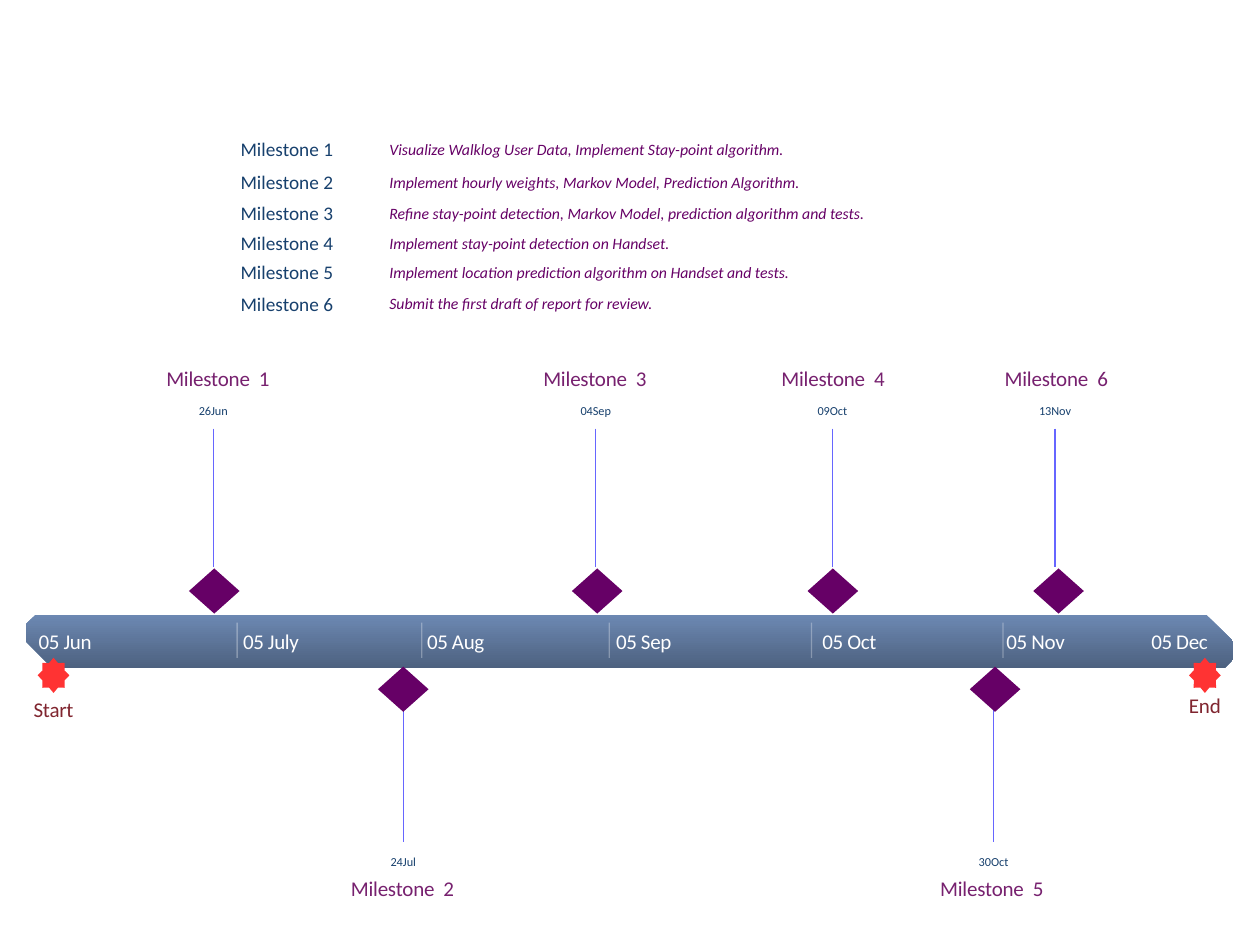
from collections import namedtuple

from lxml import etree
from pptx import Presentation
from pptx import util as u
from pptx.dml.color import RGBColor
from pptx.enum import shapes, text
from pptx.oxml import ns

COLOURS = {
    "bar_top": "6C88B2", "bar_bottom": "4D617F", "white": "FFFFFF",
    "navy": "17406D", "purple": "660066", "plum": "77216F",
    "maroon": "80252F", "red": "FF3333", "stem": "6666FF",
}
FONT = "Calibri"
Box = namedtuple("Box", "left top width height")
LEFT, CENTRE = text.PP_ALIGN.LEFT, text.PP_ALIGN.CENTER

GOALS = [
    (0.46, "Visualize Walklog User Data, Implement Stay-point algorithm."),
    (1.13, "Implement hourly weights, Markov Model, Prediction Algorithm."),
    (1.75, "Refine stay-point detection, Markov Model, prediction algorithm and tests."),
    (2.36, "Implement stay-point detection on Handset."),
    (2.95, "Implement location prediction algorithm on Handset and tests."),
    (3.58, "Submit the first draft of report for review."),
]
MONTHS = [(0.25, "05 Jun"), (4.37, "05 July"), (8.08, "05 Aug"), (11.89, "05 Sep"),
          (16.05, "05 Oct"), (19.76, "05 Nov"), (22.68, "05 Dec")]
DIVIDERS = [4.25, 7.97, 11.75, 15.83, 19.69]
MILESTONES = [
    ("26Jun", True, 3.79, 3.77, 3.87),
    ("24Jul", False, 7.6, 7.6, 7.59),
    ("04Sep", True, 11.51, 11.48, 11.47),
    ("09Oct", True, 16.26, 16.25, 16.27),
    ("30Oct", False, 19.53, 19.5, 19.47),
    ("13Nov", True, 20.81, 20.74, 20.77),
]
ENDS = [("Start", 0.55, 14.3), ("End", 23.76, 14.22)]


def colour(name):
    """Return the named colour."""
    return RGBColor.from_string(COLOURS[name])


def add_label(page, box, words, size, shade, align=LEFT, italic=False, spacing=0):
    """Add one line of text, centred vertically in its box."""
    label = page.shapes.add_textbox(*(u.Cm(value) for value in box))
    frame = label.text_frame
    frame.margin_left = frame.margin_right = frame.margin_top = frame.margin_bottom = 0
    frame.word_wrap = True
    frame.vertical_anchor = text.MSO_ANCHOR.MIDDLE
    frame.text = words
    para = frame.paragraphs[0]
    para.alignment = align
    span = para.runs[0]
    span.font.name = FONT
    span.font.size = u.Pt(size)
    span.font.italic = italic
    span.font.color.rgb = colour(shade)
    if spacing:
        span.font._element.set("spc", str(spacing))


def add_figure(page, kind, box, shade):
    """Add a filled preset shape without outline or shadow."""
    figure = page.shapes.add_shape(kind, *(u.Cm(value) for value in box))
    figure.shadow.inherit = False
    figure.line.fill.background()
    figure.fill.solid()
    figure.fill.fore_color.rgb = colour(shade)
    return figure


def add_rule(page, x, top, bottom, shade, opacity=None):
    """Add a thin vertical line."""
    rule = page.shapes.add_connector(
        shapes.MSO_CONNECTOR.STRAIGHT, u.Cm(x), u.Cm(top), u.Cm(x), u.Cm(bottom))
    rule.line.width = u.Pt(0.75)
    rule.line.color.rgb = colour(shade)
    properties = rule._element.spPr
    if opacity:
        tint = properties.find(".//" + ns.qn("a:srgbClr"))
        etree.SubElement(tint, ns.qn("a:alpha")).set("val", str(opacity * 1000))
    etree.SubElement(properties, ns.qn("a:effectLst"))


def add_goals(page, box):
    """List the milestones with their goals."""
    for number, (middle, goal) in enumerate(GOALS, 1):
        top = box.top + middle - 0.23
        add_label(page, Box(box.left, top, 3.2, 0.46), f"Milestone {number}", 11, "navy")
        add_label(page, Box(box.left + 3, top, box.width - 3, 0.46), goal, 9, "purple",
                  italic=True)


def add_bar(page, box):
    """Draw the time bar with its months and dividers."""
    bar = add_figure(page, shapes.MSO_SHAPE.SNIP_2_DIAG_RECTANGLE, box, "bar_top")
    bar.adjustments[0], bar.adjustments[1] = 0.167, 0.5
    bar.fill.gradient()
    bar.fill.gradient_angle = 270
    for stop, position, shade in zip(bar.fill.gradient_stops, (0, 1), ("bar_top", "bar_bottom")):
        stop.position = position
        stop.color.rgb = colour(shade)
    for x in DIVIDERS:
        add_rule(page, box.left + x, box.top + 0.15, box.top + 0.86, "white", 30)
    for x, month in MONTHS:
        add_label(page, Box(box.left + x, box.top + 0.27, 1.48, 0.5), month, 12, "white",
                  spacing=-20)


def add_milestones(page, box):
    """Place diamonds, stems and captions above and below the bar."""
    bottom = box.top + box.height
    for number, (date, above, diamond, stem, title) in enumerate(MILESTONES, 1):
        if above:
            diamond_top, date_top, title_top = box.top - 0.94, box.top - 4.27, box.top - 5.03
            stem_top, stem_bottom = box.top - 3.76, box.top - 0.97
        else:
            diamond_top, date_top, title_top = bottom - 0.03, bottom + 3.75, bottom + 4.18
            stem_top, stem_bottom = bottom + 0.85, bottom + 3.5
        add_rule(page, box.left + stem, stem_top, stem_bottom, "stem")
        add_figure(page, shapes.MSO_SHAPE.DIAMOND,
                   Box(box.left + diamond - 0.51, diamond_top, 1.02, 0.91), "purple")
        add_label(page, Box(box.left + stem - 0.56, date_top, 1.12, 0.3), date, 7, "navy",
                  CENTRE)
        add_label(page, Box(box.left + title - 1.44, title_top, 2.87, 0.5),
                  f"Milestone  {number}", 12, "plum", CENTRE, spacing=-10)


def add_ends(page, box):
    """Mark the start and the end of the bar with stars."""
    for words, middle, middle_y in ENDS:
        x = box.left + middle
        star = add_figure(page, shapes.MSO_SHAPE.STAR_8_POINT,
                          Box(x - 0.32, box.top + 0.86, 0.64, 0.71), "red")
        star.adjustments[0] = 0.375
        add_label(page, Box(x - 1.08, middle_y - 0.25, 2.16, 0.5), words, 12, "maroon",
                  CENTRE, spacing=-10)


def build():
    """Build and save the deck."""
    deck = Presentation()
    deck.slide_width, deck.slide_height = u.Cm(25.4), u.Cm(19.05)
    page = deck.slides.add_slide(deck.slide_layouts[6])
    bar_box = Box(0.53, 12.4, 24.33, 1.07)
    add_goals(page, Box(4.85, 2.54, 17.43, 4))
    add_bar(page, bar_box)
    add_milestones(page, bar_box)
    add_ends(page, bar_box)
    deck.save("out.pptx")


build()
